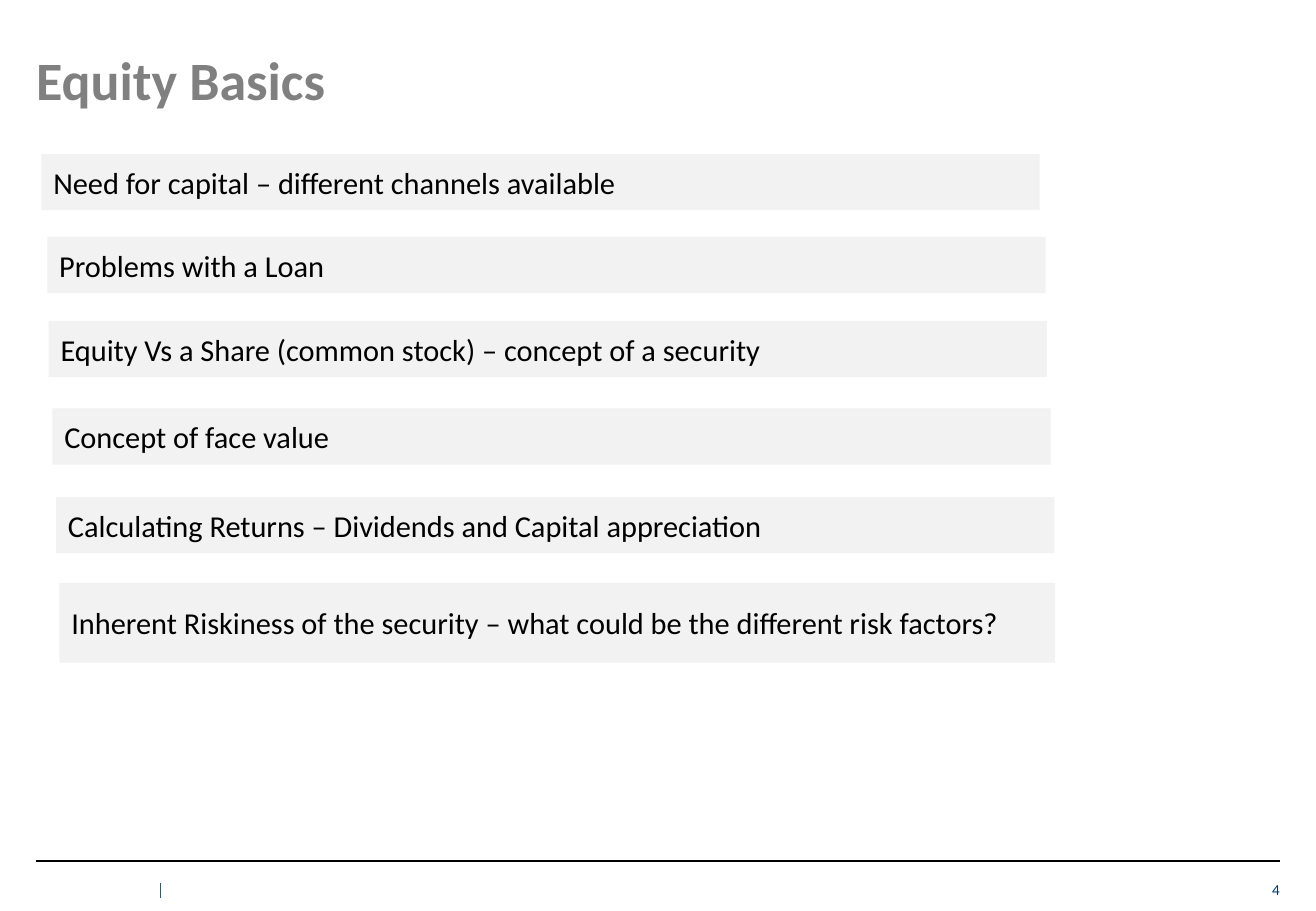
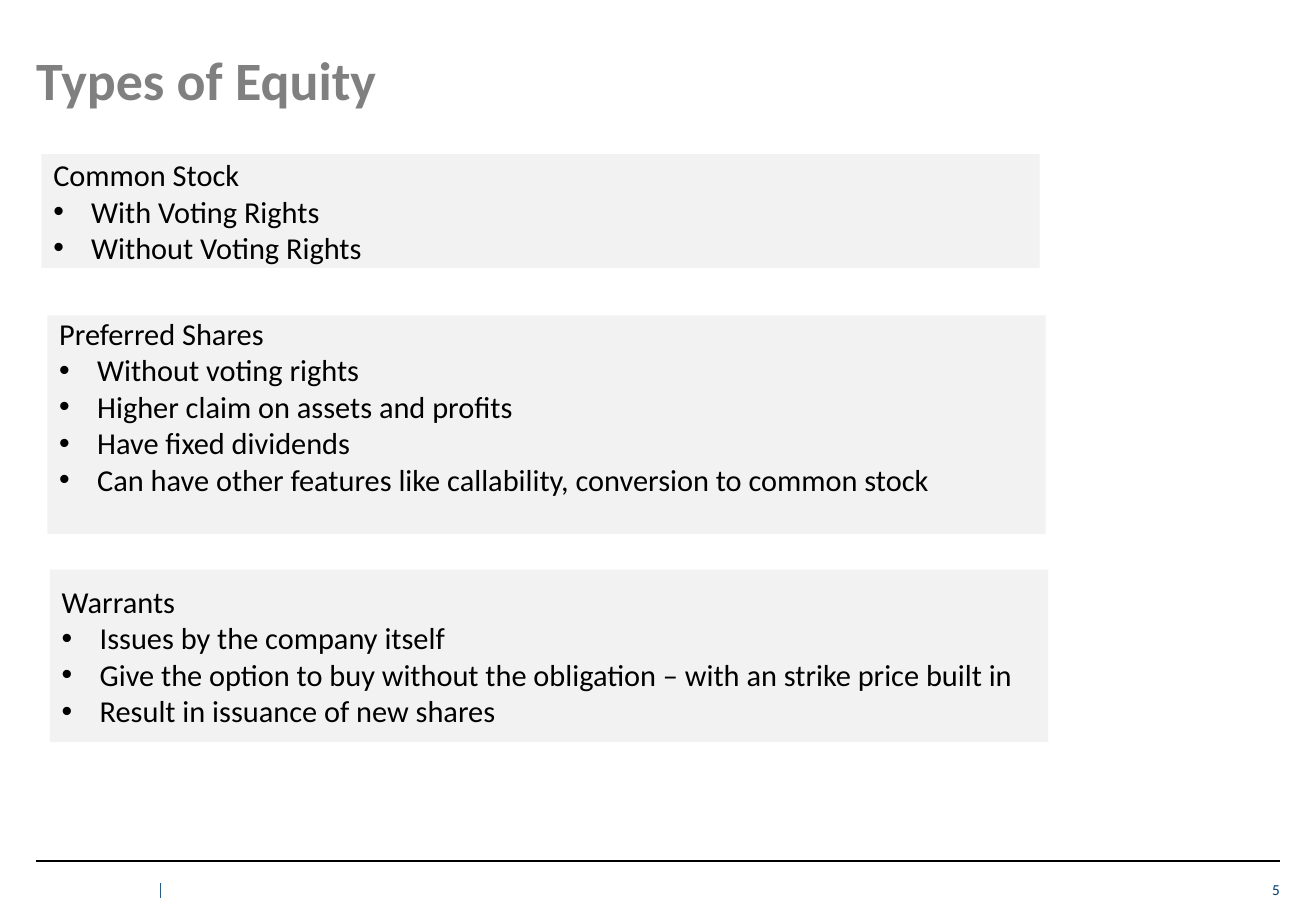
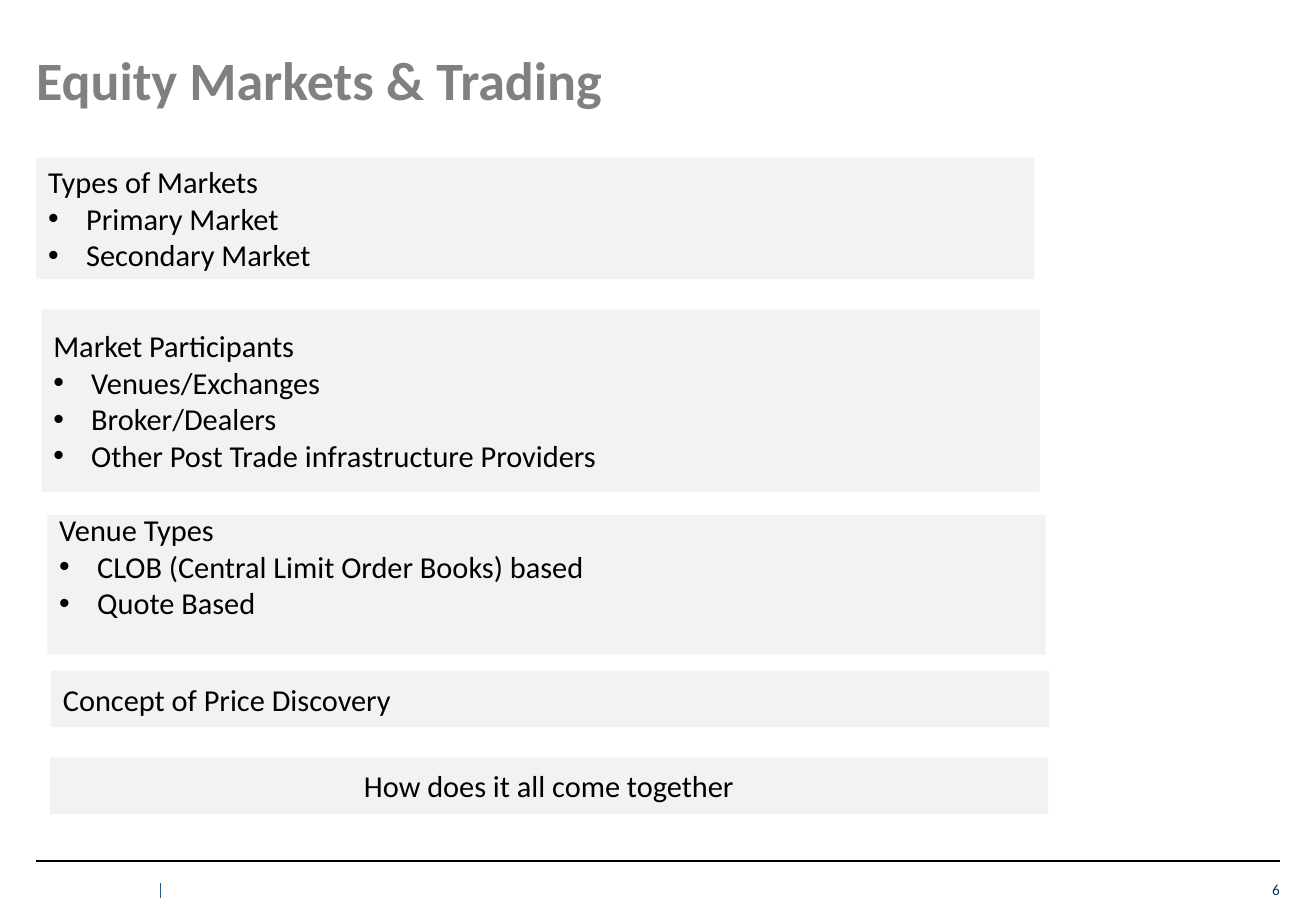
from dataclasses import dataclass

import lxml.etree
import pptx
import pptx.dml.color
import pptx.enum.shapes
import pptx.enum.text
import pptx.oxml.ns
import pptx.presentation
import pptx.slide
import pptx.text.text
import pptx.util

Pt = pptx.util.Pt
RGB = pptx.dml.color.RGBColor
ALIGN = pptx.enum.text.PP_ALIGN
ANCHOR = pptx.enum.text.MSO_ANCHOR
qn = pptx.oxml.ns.qn


# Shared look
@dataclass(frozen=True)
class Theme:
    font: str = "Calibri"
    title_color: RGB = RGB(0x80, 0x80, 0x80)
    body_color: RGB = RGB(0, 0, 0)
    number_color: RGB = RGB(0x00, 0x38, 0x68)
    band_fill: RGB = RGB(0xF2, 0xF2, 0xF2)
    rule_color: RGB = RGB(0, 0, 0)
    tick_color: RGB = RGB(0x25, 0x5B, 0x89)
    title_size: float = 32
    body_size: float = 18
    number_size: float = 9
    bullet_indent: float = 22.5
    band_inset: float = 3.6
    body_line: float = 22


THEME = Theme()


@dataclass(frozen=True)
class Band:
    """A grey band: a heading and its bullets; lengths in points."""
    left: float
    top: float
    height: float
    heading: str
    bullets: tuple[str, ...] = ()
    width: float = 591.8
    align: ALIGN = ALIGN.LEFT
    spare_lines: int = 0  # room kept free under the text


@dataclass(frozen=True)
class Page:
    number: int
    title: str
    bands: tuple[Band, ...]


# Content
PAGES = (
    Page(4, "Equity Basics", (
        Band(24.5, 91.3, 33.3, "Need for capital – different channels available"),
        Band(28, 140.4, 33.3, "Problems with a Loan"),
        Band(28.8, 190.2, 33.3, "Equity Vs a Share (common stock) – concept of a security"),
        Band(31, 242.1, 33.3, "Concept of face value"),
        Band(33.2, 294.6, 33.3, "Calculating Returns – Dividends and Capital appreciation"),
        Band(35.2, 345.5, 47.3,
             "Inherent Riskiness of the security – what could be the different risk factors?",
             width=590.2),
    )),
    Page(5, "Types of Equity", (
        Band(24.5, 91.3, 67.5, "Common Stock",
             ("With Voting Rights", "Without Voting Rights")),
        Band(28, 187, 129.6, "Preferred Shares",
             ("Without voting rights",
              "Higher claim on assets and profits",
              "Have fixed dividends",
              "Can have other features like callability, conversion to common stock"),
             spare_lines=1),
        Band(29.5, 337.7, 102.2, "Warrants",
             ("Issues by the company itself",
              "Give the option to buy without the obligation – with an strike price built in",
              "Result in issuance of new shares")),
    )),
    Page(6, "Equity Markets & Trading", (
        Band(21.5, 93.3, 72, "Types of Markets", ("Primary Market", "Secondary Market")),
        Band(24.5, 183.4, 108, "Market Participants",
             ("Venues/Exchanges", "Broker/Dealers",
              "Other Post Trade infrastructure Providers")),
        Band(28, 305.2, 82.8, "Venue Types",
             ("CLOB (Central Limit Order Books) based", "Quote Based"), spare_lines=1),
        Band(30.2, 397.6, 33.5, "Concept of Price Discovery"),
        Band(29.5, 449, 33.5, "How does it all come together", align=ALIGN.CENTER),
    )),
)


# Text helpers
def style_paragraph(paragraph: pptx.text.text._Paragraph, size: float, color: RGB,
                    bold: bool = False, align: ALIGN = ALIGN.LEFT) -> None:
    paragraph.alignment = align
    for run in paragraph.runs:
        run.font.name = THEME.font
        run.font.size = Pt(size)
        run.font.bold = bold
        run.font.color.rgb = color


def add_bullet(paragraph: pptx.text.text._Paragraph) -> None:
    properties = paragraph._p.get_or_add_pPr()
    properties.set("marL", str(Pt(THEME.bullet_indent)))
    properties.set("indent", str(-Pt(THEME.bullet_indent)))
    lxml.etree.SubElement(properties, qn("a:buFont")).set("typeface", "Arial")
    lxml.etree.SubElement(properties, qn("a:buChar")).set("char", "•")


def add_label(slide: pptx.slide.Slide, text: str, left: float, top: float, width: float,
              height: float, size: float, color: RGB, bold: bool = False,
              align: ALIGN = ALIGN.LEFT, anchor: ANCHOR = ANCHOR.TOP) -> None:
    label = slide.shapes.add_textbox(Pt(left), Pt(top), Pt(width), Pt(height))
    frame = label.text_frame
    frame.word_wrap = True
    frame.vertical_anchor = anchor
    frame.margin_left = frame.margin_right = frame.margin_top = frame.margin_bottom = 0
    frame.text = text
    style_paragraph(frame.paragraphs[0], size, color, bold, align)


# Slide parts
def add_rule(slide: pptx.slide.Slide, x1: float, y1: float, x2: float, y2: float,
             color: RGB, weight: float) -> None:
    rule = slide.shapes.add_connector(pptx.enum.shapes.MSO_CONNECTOR.STRAIGHT,
                                      Pt(x1), Pt(y1), Pt(x2), Pt(y2))
    rule.line.color.rgb = color
    rule.line.width = Pt(weight)
    lxml.etree.SubElement(rule._element.spPr, qn("a:effectLst"))


def add_frame(slide: pptx.slide.Slide, page: Page) -> None:
    """Title, footer rule, footer tick and page number."""
    add_rule(slide, 21.5, 510.3, 758.5, 510.3, THEME.rule_color, 1)
    add_rule(slide, 95, 523.4, 95, 532.1, THEME.tick_color, 0.75)
    add_label(slide, page.title, 21.5, 27.4, 737, 35.3,
              THEME.title_size, THEME.title_color, bold=True)
    add_label(slide, str(page.number), 712.5, 518.4, 46, 14.4, THEME.number_size,
              THEME.number_color, align=ALIGN.RIGHT, anchor=ANCHOR.BOTTOM)


def add_band(slide: pptx.slide.Slide, band: Band) -> None:
    box = slide.shapes.add_shape(pptx.enum.shapes.MSO_SHAPE.RECTANGLE, Pt(band.left),
                                 Pt(band.top), Pt(band.width), Pt(band.height))
    box.shadow.inherit = False
    box.fill.solid()
    box.fill.fore_color.rgb = THEME.band_fill
    box.line.fill.background()
    frame = box.text_frame
    frame.word_wrap = True
    frame.vertical_anchor = ANCHOR.MIDDLE
    frame.margin_bottom = Pt(THEME.band_inset + band.spare_lines * THEME.body_line)
    frame.text = "\n".join((band.heading, *band.bullets))
    for index, paragraph in enumerate(frame.paragraphs):
        style_paragraph(paragraph, THEME.body_size, THEME.body_color, align=band.align)
        if index > 0:
            add_bullet(paragraph)


def add_page(deck: pptx.presentation.Presentation, page: Page) -> None:
    slide = deck.slides.add_slide(deck.slide_layouts[6])
    add_frame(slide, page)
    for band in page.bands:
        add_band(slide, band)


def main() -> None:
    deck = pptx.Presentation()
    deck.slide_width, deck.slide_height = Pt(780), Pt(540)
    for page in PAGES:
        add_page(deck, page)
    deck.save("out.pptx")


if __name__ == "__main__":
    main()
